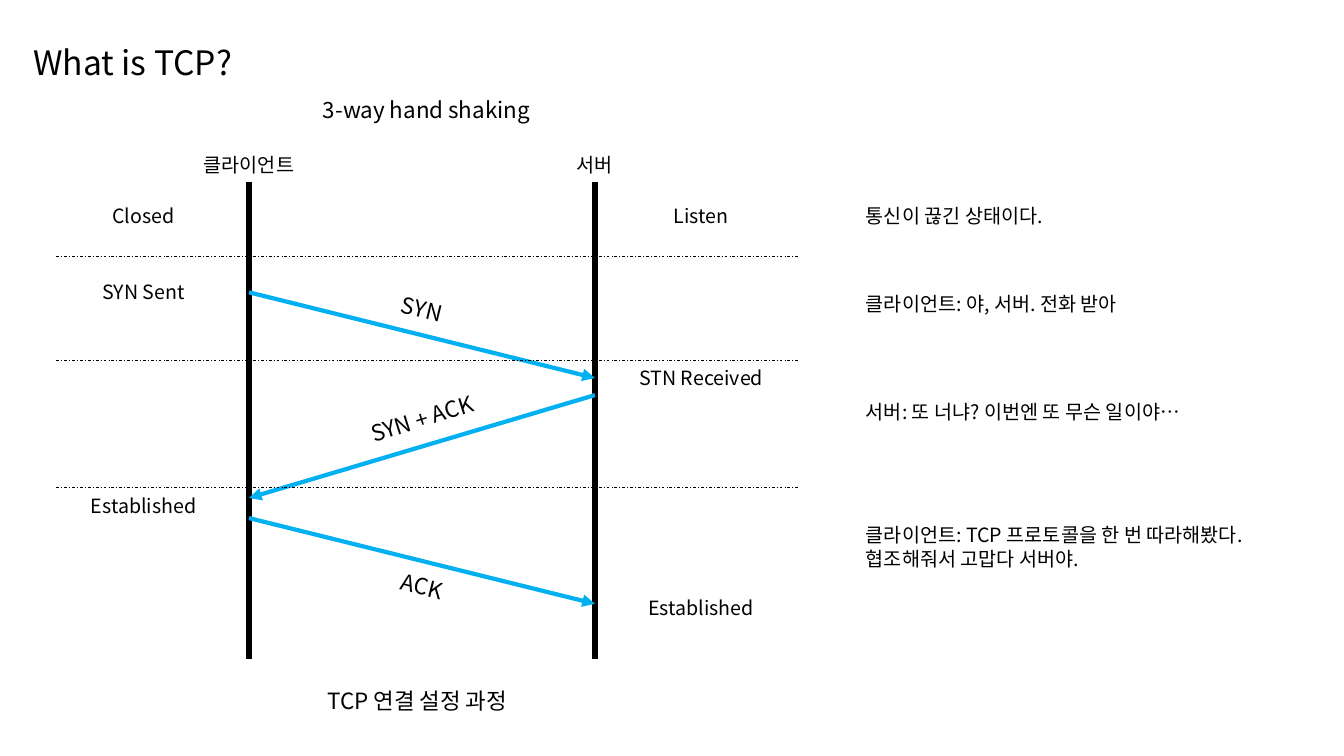
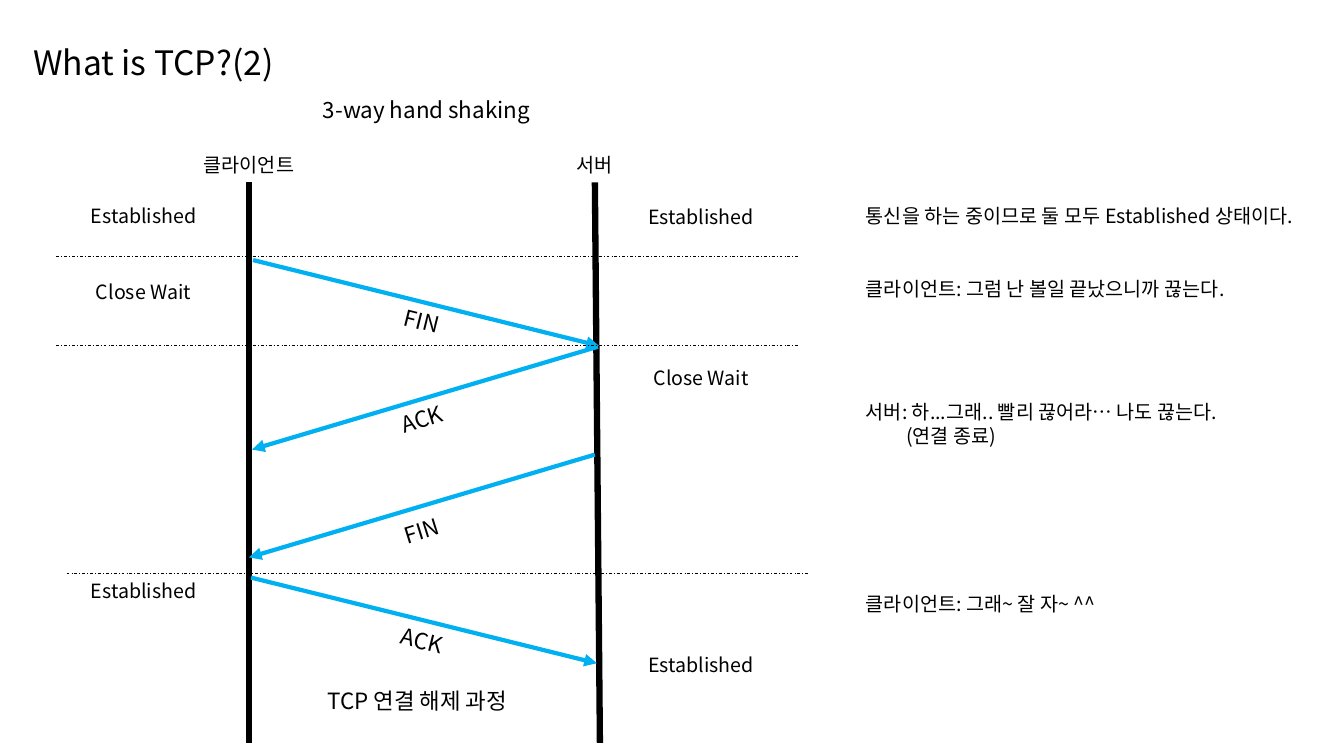
from dataclasses import dataclass
from pptx import Presentation, util as u
from pptx.dml.color import RGBColor
from pptx.enum import dml, shapes, text
from pptx.oxml import ns
from lxml import etree


@dataclass(frozen=True)
class Theme:
    font: str = "Noto Sans CJK KR"
    ink: str = "000000"
    arrow: str = "00B0F0"
    title: int = 24
    label: int = 16
    body: int = 14
    lifeline: float = 4.5
    message: float = 3
    divider: float = 0.5


T = Theme()
SLIDE_W, SLIDE_H = 13.33, 7.5
CLIENT, SERVER = 2.47, 5.9
LABEL_W = 1.53
STATE_X = {"client": 0.66, "server": 6.19}
MESSAGE_X, NOTE_X, NOTE_W = 3.42, 8.49, 4.72
LIFE_TOP, DIVIDER_X, DIVIDER_W = 1.81, 0.56, 7.35
ROW_H = {T.title: 0.5, T.label: 0.37, T.body: 0.34}
DIRECTIONS = {"send": (CLIENT, SERVER, 0.85, 14), "reply": (SERVER, CLIENT, 1.02, 342.7)}
SUBTITLE = "3-way hand shaking"
HEADS = [("클라이언트", CLIENT), ("서버", SERVER)]

# states: side, text, top; messages: direction, text, start, label top, shift; dividers: y, shift
SLIDES = [
    dict(
        title="What is TCP?", caption="TCP 연결 설정 과정", life_end=6.54, lean=0,
        states=[("client", "Closed", 1.97), ("server", "Listen", 1.97),
                ("client", "SYN Sent", 2.73), ("server", "STN Received", 3.58),
                ("client", "Established", 4.85), ("server", "Established", 5.86)],
        messages=[("send", "SYN", 2.9, 2.88, 0), ("reply", "SYN + ACK", 3.92, 3.97, 0),
                  ("send", "ACK", 5.14, 5.63, 0)],
        dividers=[(2.54, 0), (3.58, 0), (4.84, 0)],
        notes=[(1.97, ["통신이 끊긴 상태이다."]),
               (2.85, ["클라이언트: 야, 서버. 전화 받아"]),
               (3.92, ["서버: 또 너냐? 이번엔 또 무슨 일이야…"]),
               (5.14, ["클라이언트: TCP 프로토콜을 한 번 따라해봤다. 협조해줘서 고맙다 서버야."])],
    ),
    dict(
        title="What is TCP?(2)", caption="TCP 연결 해제 과정", life_end=7.37, lean=0.05,
        states=[("client", "Established", 1.97), ("server", "Established", 1.98),
                ("client", "Close Wait", 2.73), ("server", "Close Wait", 3.58),
                ("client", "Established", 5.69), ("server", "Established", 6.43)],
        messages=[("send", "FIN", 2.58, 3, 0.04), ("reply", "ACK", 3.44, 3.97, 0.03),
                  ("reply", "FIN", 4.51, 5.08, 0), ("send", "ACK", 5.73, 6.17, 0.02)],
        dividers=[(2.54, 0), (3.43, 0), (5.69, 0.1)],
        notes=[(1.97, ["통신을 하는 중이므로 둘 모두 Established 상태이다."]),
               (2.7, ["클라이언트: 그럼 난 볼일 끝났으니까 끊는다."]),
               (3.92, ["서버: 하...그래.. 빨리 끊어라… 나도 끊는다.", "(연결 종료)"]),
               (5.82, ["클라이언트: 그래~ 잘 자~ ^^"])],
    ),
]


def add_text(s, lines, x, y, w, size=T.body, center=True, rot=0):
    sp = s.shapes.add_textbox(*map(u.Inches, (x, y, w, ROW_H[size])))
    sp.rotation = rot
    tf = sp.text_frame
    tf.word_wrap = True
    tf.auto_size = text.MSO_AUTO_SIZE.SHAPE_TO_FIT_TEXT
    tf.text = "\n".join(lines)
    for i, p in enumerate(tf.paragraphs):
        p.alignment = text.PP_ALIGN.CENTER if center else text.PP_ALIGN.LEFT
        if i:
            p._p.get_or_add_pPr().set("marL", str(u.Inches(0.4)))
        for r in p.runs:
            r.font.size, r.font.name = u.Pt(size), T.font
            r.font.color.rgb = RGBColor.from_string(T.ink)
            etree.SubElement(r._r.get_or_add_rPr(), ns.qn("a:ea"), typeface=T.font)


def add_line(s, x0, y0, x1, y1, width, color=T.ink, dash=None, arrow=False):
    c = s.shapes.add_connector(shapes.MSO_CONNECTOR.STRAIGHT, *map(u.Inches, (x0, y0, x1, y1)))
    c.line.width = u.Pt(width)
    c.line.color.rgb = RGBColor.from_string(color)
    if dash:
        c.line.dash_style = dash
    if arrow:
        etree.SubElement(c.line._get_or_add_ln(), ns.qn("a:tailEnd"), type="triangle")
    etree.SubElement(c._element.spPr, ns.qn("a:effectLst"))


def build(prs, d):
    s = prs.slides.add_slide(prs.slide_layouts[6])
    add_text(s, [d["title"]], 0.23, 0.37, 3.91, T.title, center=False)
    add_text(s, [SUBTITLE], 2.98, 0.9, 2.5, T.label)
    for (name, x), lean in zip(HEADS, (0, d["lean"])):
        add_text(s, [name], x - LABEL_W / 2, LIFE_TOP - ROW_H[T.body], LABEL_W)
        add_line(s, x, LIFE_TOP, x + lean, d["life_end"], T.lifeline)
    for side, state, y in d["states"]:
        add_text(s, [state], STATE_X[side], y, LABEL_W)
    for way, name, y, label_y, shift in d["messages"]:
        x0, x1, drop, rot = DIRECTIONS[way]
        add_line(s, x0 + shift, y, x1 + shift, y + drop, T.message, T.arrow, arrow=True)
        add_text(s, [name], MESSAGE_X, label_y, LABEL_W, T.label, rot=rot)
    for y, shift in d["dividers"]:
        x = DIVIDER_X + shift
        add_line(s, x, y, x + DIVIDER_W, y, T.divider, dash=dml.MSO_LINE.DASH_DOT)
    for y, lines in d["notes"]:
        add_text(s, lines, NOTE_X, y, NOTE_W, center=False)
    add_text(s, [d["caption"]], 2.89, 6.77, 2.5, T.label)


prs = Presentation()
prs.slide_width, prs.slide_height = u.Inches(SLIDE_W), u.Inches(SLIDE_H)
for d in SLIDES:
    build(prs, d)
prs.save("out.pptx")
